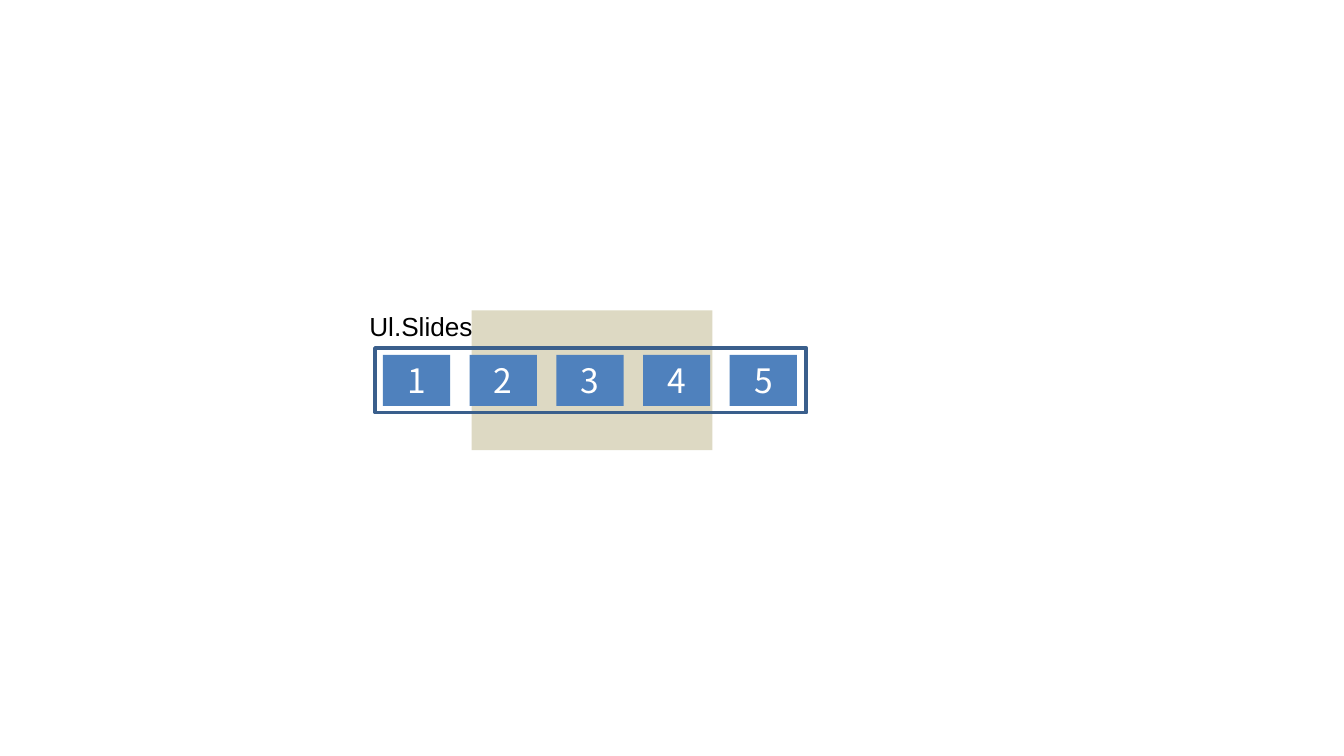
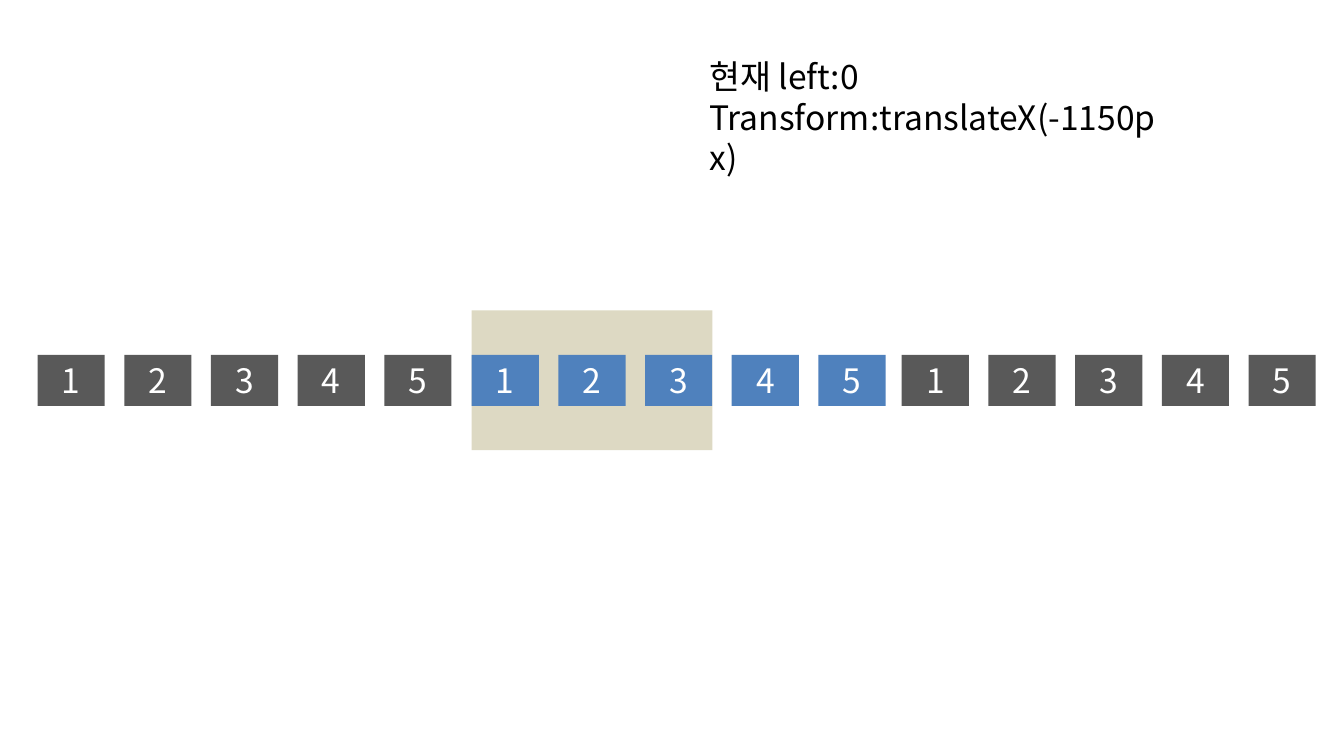
from pptx import Presentation
from pptx.dml.color import RGBColor
from pptx.enum.shapes import MSO_SHAPE
from pptx.enum.text import MSO_ANCHOR, MSO_AUTO_SIZE, PP_ALIGN
from pptx.oxml.ns import qn
from pptx.util import Inches, Pt
from lxml import etree

RECTANGLE = MSO_SHAPE.RECTANGLE
MIDDLE = MSO_ANCHOR.MIDDLE
GROW = MSO_AUTO_SIZE.SHAPE_TO_FIT_TEXT
CENTER = PP_ALIGN.CENTER
LEFT = PP_ALIGN.LEFT

COLORS = {
    "viewport": "DDD9C3",
    "slide": "4F81BD",
    "clone": "595959",
    "frame": "3A5F8C",
    "light": "FFFFFF",
    "dark": "000000",
}
FONT = "Noto Sans CJK KR"
LABEL_FONT = "Arial"

TILES = ["1", "2", "3", "4", "5"]
TILE_TOP, TILE_WIDTH, TILE_HEIGHT = 2.64, 0.5, 0.38
ROW_WIDTH = 3.08
VIEWPORT = (3.51, 2.31, 1.79, 1.04)

PAGES = [
    {
        "frame": (2.79, 2.59, 3.21, 0.48),
        "rows": [(2.85, "slide")],
        "note": {"area": (2.65, 2.26, 1.44, 0.57), "lines": ["Ul.Slides"],
                 "font": LABEL_FONT, "size": 14},
    },
    {
        "rows": [(3.51, "slide"), (6.71, "clone"), (0.28, "clone")],
        "note": {"area": (5.18, 0.37, 3.59, 0.71),
                 "lines": ["현재 left:0", "Transform:translateX(-1150px)"],
                 "font": FONT, "size": 18},
    },
]


def color(name):
    return RGBColor.from_string(COLORS[name])


def style_paragraph(para, font, size, color_name, align):
    para.alignment = align
    para.font.name = font
    para.font.size = Pt(size)
    para.font.color.rgb = color(color_name)
    latin = para.font._element.find(qn("a:latin"))
    latin.addnext(etree.Element(qn("a:ea"), typeface=font))


def add_box(shapes, area, fill=None, line=None):
    box = shapes.add_shape(RECTANGLE, *map(Inches, area))
    box.shadow.inherit = False
    if fill:
        box.fill.solid()
        box.fill.fore_color.rgb = color(fill)
    else:
        box.fill.background()
    if line:
        box.line.color.rgb = color(line)
        box.line.width = Pt(2)
    else:
        box.line.fill.background()
    return box


def add_row(page, left, fill):
    group = page.shapes.add_group_shape()
    step = (ROW_WIDTH - TILE_WIDTH) / (len(TILES) - 1)
    for index, number in enumerate(TILES):
        area = (left + index * step, TILE_TOP, TILE_WIDTH, TILE_HEIGHT)
        frame = add_box(group.shapes, area, fill).text_frame
        frame.vertical_anchor = MIDDLE
        frame.text = number
        style_paragraph(frame.paragraphs[0], FONT, 18, "light", CENTER)


def add_note(page, area, lines, font, size):
    frame = page.shapes.add_textbox(*map(Inches, area)).text_frame
    frame.word_wrap = True
    frame.auto_size = GROW
    frame.text = "\n".join(lines)
    for para in frame.paragraphs:
        style_paragraph(para, font, size, "dark", LEFT)


deck = Presentation()
deck.slide_width = Inches(10)
deck.slide_height = deck.slide_width * 9 // 16
blank = deck.slide_layouts[6]

for content in PAGES:
    page = deck.slides.add_slide(blank)
    add_box(page.shapes, VIEWPORT, "viewport")
    if "frame" in content:
        add_box(page.shapes, content["frame"], line="frame")
    for left, fill in content["rows"]:
        add_row(page, left, fill)
    add_note(page, **content["note"])

deck.save("out.pptx")
